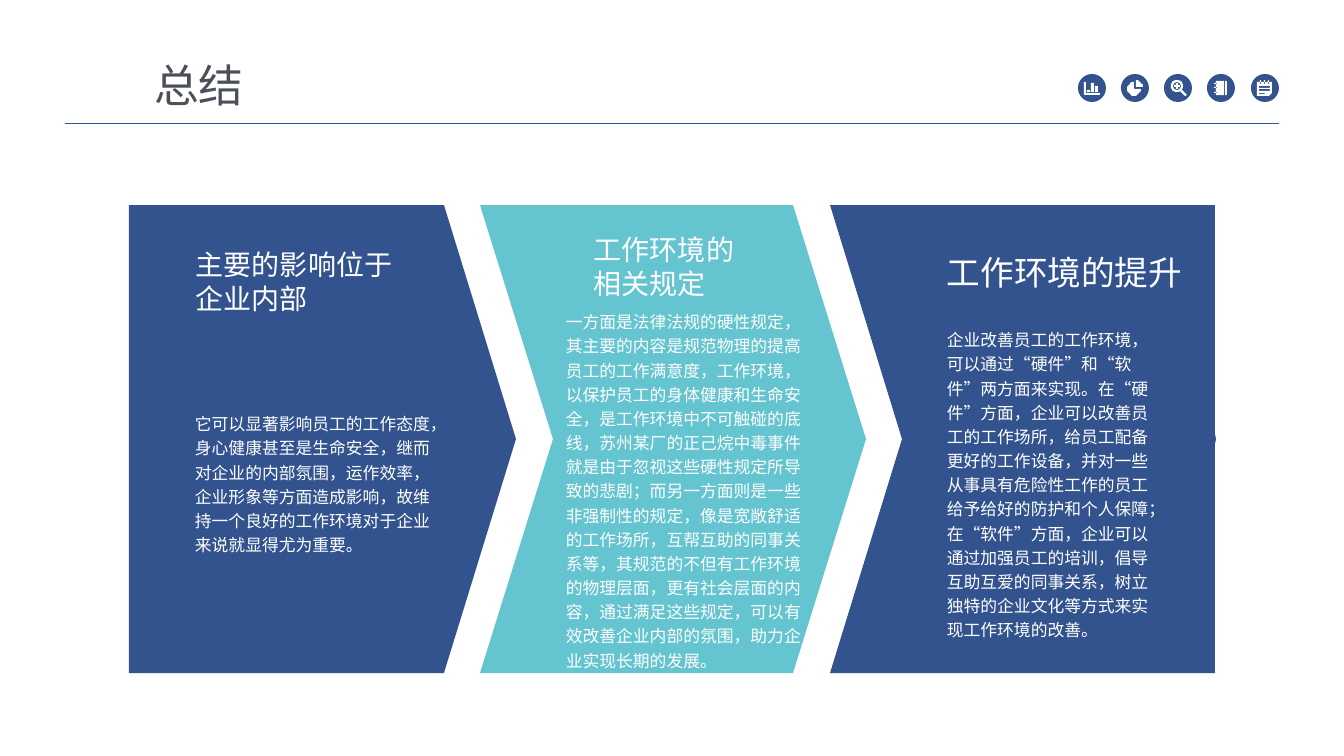
"""Build the summary slide: title bar with icons and three text arrows."""
from dataclasses import dataclass
from math import cos, radians, sin

from lxml.etree import SubElement
from pptx import Presentation
from pptx.dml.color import RGBColor
from pptx.enum.lang import MSO_LANGUAGE_ID as LANG
from pptx.enum.shapes import MSO_CONNECTOR, MSO_SHAPE
from pptx.enum.text import MSO_ANCHOR, MSO_AUTO_SIZE, PP_ALIGN
from pptx.oxml.ns import qn
from pptx.shapes.autoshape import Shape
from pptx.slide import Slide
from pptx.text.text import TextFrame
from pptx.util import Emu, Pt

NAVY = RGBColor(0x32, 0x53, 0x8D)
TEAL = RGBColor(0x64, 0xC4, 0xCF)
WHITE = RGBColor(0xFF, 0xFF, 0xFF)
GREY = RGBColor(0x4B, 0x4F, 0x58)
HEAD_FONT = "Noto Sans CJK JP"
BODY_FONT = "Noto Sans CJK SC"
SCALE = 914400 / 100.8
TOP, MID, BOTTOM = 205, 439, 673
ICON_LEFT, ICON_RIGHT, ICON_TOP, ICON_SIZE = 1078, 1251, 74, 28

Contour = list[tuple[float, float]]
Box = tuple[int, int, int, int]


@dataclass
class Label:
    text: str
    box: Box
    size: int
    font: str = HEAD_FONT
    spacing: float = 1.0
    wrap: bool = True


@dataclass
class Arrow:
    outline: Contour
    color: RGBColor
    labels: list[Label]


def px(n: float) -> Emu:
    return Emu(round(n * SCALE))


def rect(x1: int, y1: int, x2: int, y2: int) -> Contour:
    return [(x1, y1), (x2, y1), (x2, y2), (x1, y2)]


def arc(cx: int, cy: int, radius: int, start: int, end: int) -> Contour:
    return [(cx + radius * cos(radians(a)), cy + radius * sin(radians(a)))
            for a in range(start, end + 1, 10)]


ICONS: list[list[Contour]] = [
    [[(6, 8), (8, 8), (8, 19), (22, 19), (22, 21), (6, 21)],
     rect(9, 16, 12, 18), rect(13, 9, 16, 18), rect(17, 12, 20, 18)],
    [[(15, 13)] + arc(15, 13, 7, -90, 0), [(13, 15)] + arc(13, 15, 7, 0, 270)],
    [arc(13, 12, 6, 0, 350), arc(13, 12, 4, 0, 350),
     [(16, 17), (18, 16), (23, 21), (21, 22)],
     [(12, 9), (14, 9), (14, 11), (16, 11), (16, 13), (14, 13),
      (14, 15), (12, 15), (12, 13), (10, 13), (10, 11), (12, 11)]],
    [rect(9, 7, 17, 21), rect(18, 7, 20, 21)]
    + [rect(7, y, 10, y + 1) for y in (9, 13, 18)],
    [[(6, 8), (21, 8), (21, 19), (18, 22), (6, 22)],
     rect(8, 12, 19, 14), rect(8, 15, 19, 17), rect(8, 19, 14, 20)]
    + [rect(x, 6, x + 1, 10) for x in (9, 13, 17)],
]

ARROWS = [
    Arrow([(129, TOP), (444, TOP), (516, MID), (444, BOTTOM), (129, BOTTOM)], NAVY, [
        Label("它可以显著影响员工的工作态度，身心健康甚至是生命安全，继而对企业的内部氛围，"
              "运作效率，企业形象等方面造成影响，故维持一个良好的工作环境对于企业来说就显得尤为重要。",
              (185, 405, 268, 270), 12, BODY_FONT, 1.2),
        Label("主要的影响位于企业内部", (186, 243, 232, 136), 20)]),
    Arrow([(480, TOP), (793, TOP), (866, MID), (793, BOTTOM), (480, BOTTOM), (553, MID)],
          TEAL, [
        Label("一方面是法律法规的硬性规定，其主要的内容是规范物理的提高员工的工作满意度，工作环境，"
              "以保护员工的身体健康和生命安全，是工作环境中不可触碰的底线，苏州某厂的正己烷中毒事件"
              "就是由于忽视这些硬性规定所导致的悲剧；而另一方面则是一些非强制性的规定，像是宽敞舒适"
              "的工作场所，互帮互助的同事关系等，其规范的不但有工作环境的物理层面，更有社会层面的内"
              "容，通过满足这些规定，可以有效改善企业内部的氛围，助力企业实现长期的发展。",
              (556, 303, 259, 375), 12, BODY_FONT, 1.2),
        Label("工作环境的相关规定", (584, 228, 187, 78), 20)]),
    Arrow([(830, TOP), (1215, TOP), (1215, 434), (1216, MID), (1215, 444),
           (1215, BOTTOM), (830, BOTTOM), (902, MID)], NAVY, [
        Label("企业改善员工的工作环境，可以通过“硬件”和“软件”两方面来实现。在“硬件”方面，"
              "企业可以改善员工的工作场所，给员工配备更好的工作设备，并对一些从事具有危险性工作的员工"
              "给予给好的防护和个人保障；在“软件”方面，企业可以通过加强员工的培训，倡导互助互爱的"
              "同事关系，树立独特的企业文化等方式来实现工作环境的改善。",
              (937, 321, 232, 326), 12, BODY_FONT, 1.2),
        Label("工作环境的提升", (937, 239, 258, 55), 24, spacing=1.2, wrap=False)]),
]


def paint(sp: Shape, color: RGBColor) -> None:
    sp.shadow.inherit = False
    sp.fill.solid()
    sp.fill.fore_color.rgb = color
    sp.line.fill.background()


def draw_outline(s: Slide, contours: list[Contour], color: RGBColor,
                 left: int = 0, top: int = 0) -> None:
    first, *rest = contours
    builder = s.shapes.build_freeform(*first[0], scale=SCALE)
    builder.add_line_segments(first[1:])
    for contour in rest:
        builder.move_to(*contour[0])
        builder.add_line_segments(contour[1:])
    paint(builder.convert_to_shape(px(left), px(top)), color)


def write(tf: TextFrame, label: Label, color: RGBColor) -> None:
    tf.text = label.text
    tf.word_wrap = label.wrap
    tf.auto_size = MSO_AUTO_SIZE.NONE
    tf.vertical_anchor = MSO_ANCHOR.TOP
    p = tf.paragraphs[0]
    p.alignment = PP_ALIGN.LEFT
    p.line_spacing = label.spacing
    font = p.runs[0].font
    font.size = Pt(label.size)
    font.color.rgb = color
    font.name = label.font
    font.language_id = LANG.SIMPLIFIED_CHINESE
    SubElement(font._element, qn("a:ea")).set("typeface", label.font)


def draw_title(s: Slide) -> None:
    label = Label("总结", (144, 53, 480, 65), 32)
    sp = s.shapes.title
    sp.left, sp.top, sp.width, sp.height = map(px, label.box)
    write(sp.text_frame, label, GREY)


def draw_rule(s: Slide) -> None:
    line = s.shapes.add_connector(MSO_CONNECTOR.STRAIGHT, px(65), px(123), px(1279), px(123))
    line.line.color.rgb = NAVY
    line.line.width = Pt(0.5)
    SubElement(line._element.spPr, qn("a:effectLst"))


def draw_icons(s: Slide) -> None:
    for i, contours in enumerate(ICONS):
        left = ICON_LEFT + (ICON_RIGHT - ICON_LEFT) * i // (len(ICONS) - 1)
        disc = s.shapes.add_shape(MSO_SHAPE.OVAL, px(left), px(ICON_TOP),
                                  px(ICON_SIZE), px(ICON_SIZE))
        paint(disc, NAVY)
        draw_outline(s, contours, WHITE, left, ICON_TOP)


def draw_arrow(s: Slide, arrow: Arrow) -> None:
    draw_outline(s, [arrow.outline], arrow.color)
    for label in arrow.labels:
        sp = s.shapes.add_textbox(*map(px, label.box))
        write(sp.text_frame, label, WHITE)


def main() -> None:
    prs = Presentation()
    prs.slide_width, prs.slide_height = px(1344), px(756)
    s = prs.slides.add_slide(prs.slide_layouts[5])
    draw_title(s)
    draw_rule(s)
    draw_icons(s)
    for arrow in ARROWS:
        draw_arrow(s, arrow)
    prs.save("out.pptx")


if __name__ == "__main__":
    main()
